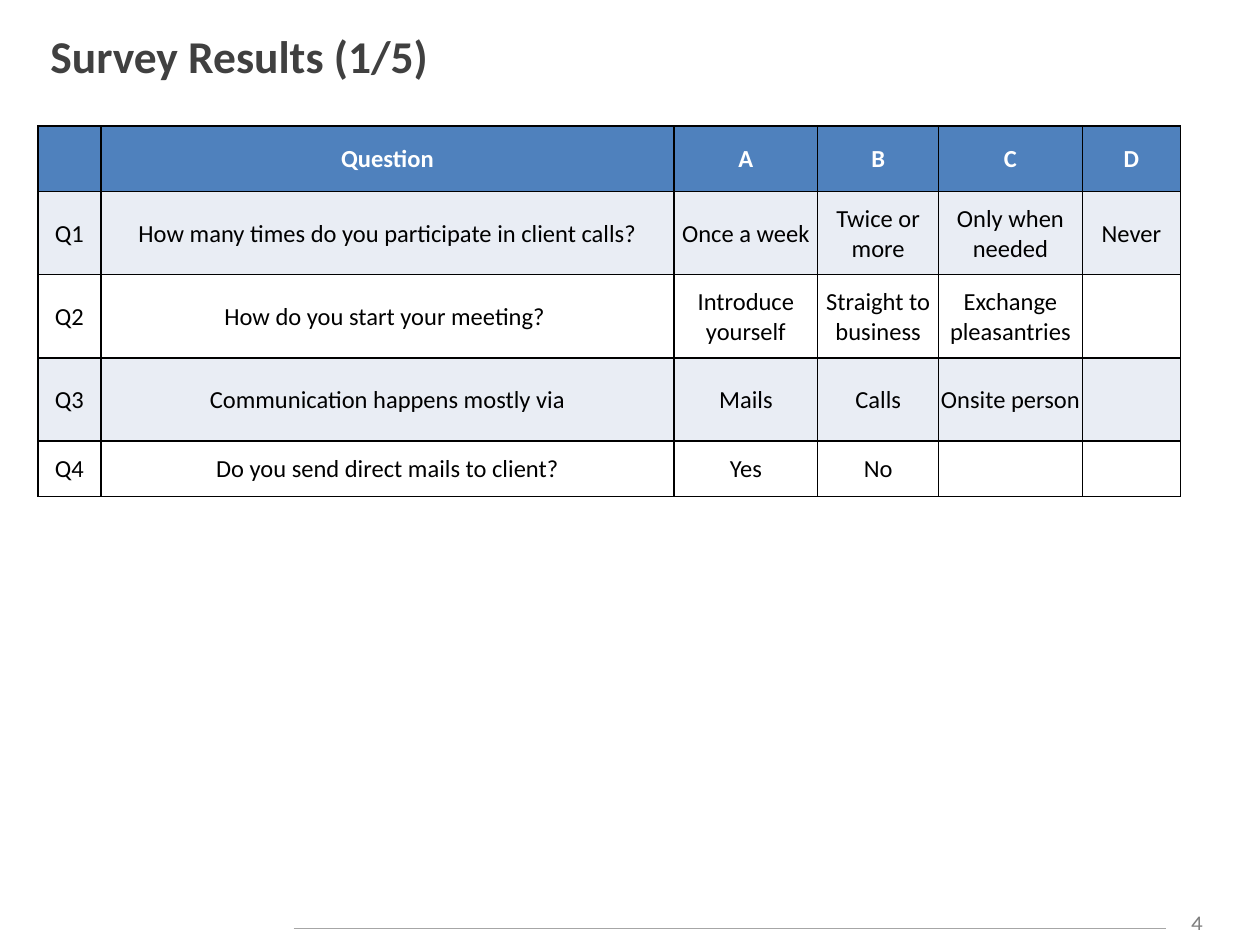
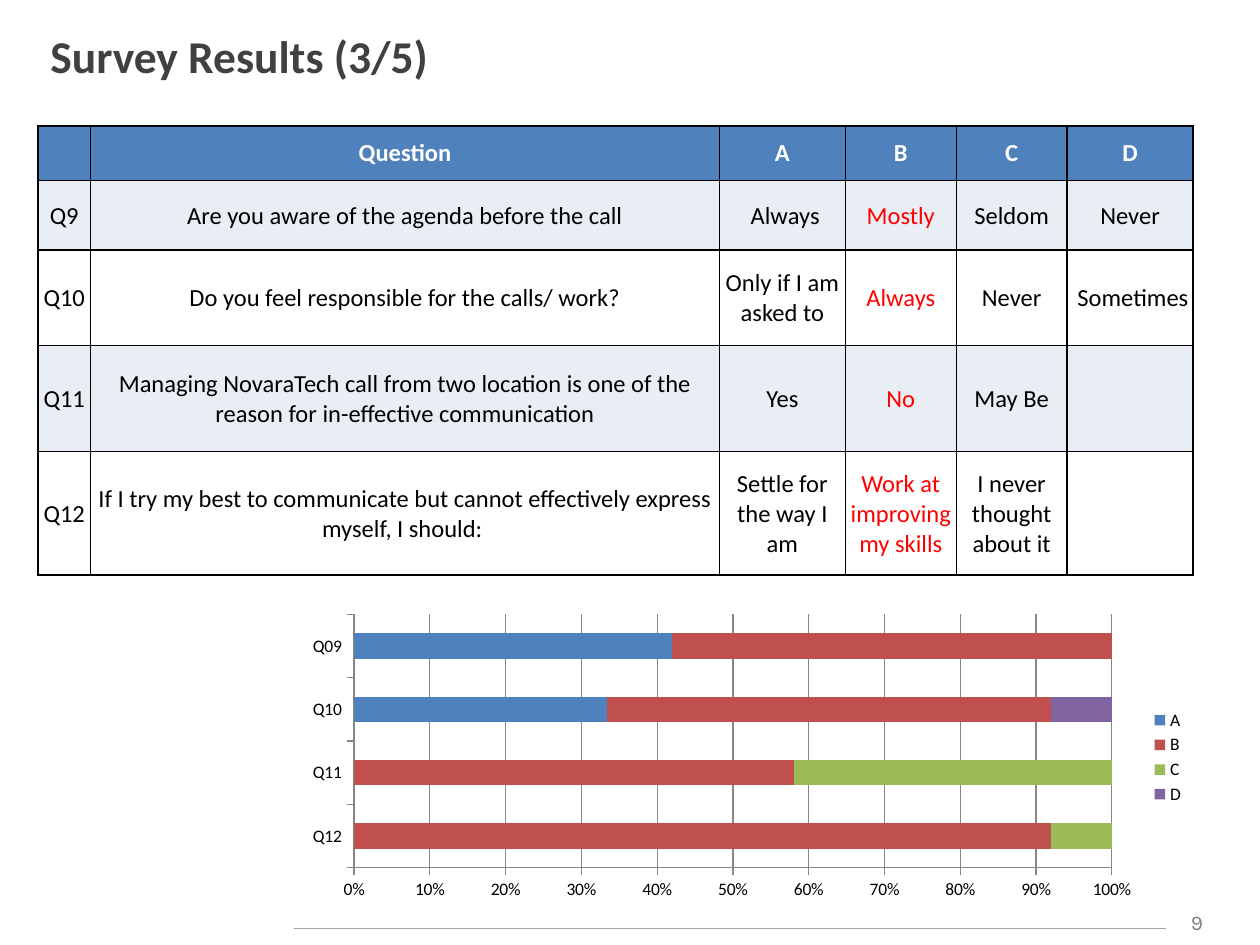
from typing import NamedTuple

from lxml.etree import SubElement as Sub
from pptx import Presentation
from pptx.chart.data import CategoryChartData as ChartData
from pptx.dml.color import RGBColor as Rgb
from pptx.enum.chart import XL_CHART_TYPE as Kind
from pptx.enum.chart import XL_LEGEND_POSITION as Side
from pptx.enum.chart import XL_TICK_MARK as Tick
from pptx.enum.shapes import MSO_CONNECTOR as Link
from pptx.enum.text import MSO_ANCHOR as Anchor
from pptx.enum.text import MSO_AUTO_SIZE as Fit
from pptx.enum.text import PP_ALIGN as Align
from pptx.oxml.ns import qn
from pptx.util import Emu, Pt

SCALE = 9144
FONT = "Calibri"
BLACK, WHITE, RED = "000000", "FFFFFF", "FF0000"
BLUE, PALE, DARK = "4F81BD", "E9EDF4", "404040"
GRAY, RULE, GRID = "808080", "A6A6A6", "878787"
HEAD = ("", "Question", "A", "B", "C", "D")


class Bar(NamedTuple):
    name: str
    color: str
    vals: tuple[int, ...]


class Plot(NamedTuple):
    box: tuple[int, int, int, int]
    cats: tuple[str, ...]
    bars: tuple[Bar, ...]


class Page(NamedTuple):
    title: str
    num: int
    cols: tuple[int, ...]
    tall: tuple[int, ...]
    rows: tuple[tuple[str, ...], ...]
    hot: int | None = None
    plot: Plot | None = None


PAGES = (
    Page(
        "Survey Results (1/5)", 4,
        (50, 455, 114, 96, 114, 78),
        (52, 66, 66, 66, 44),
        (
            ("Q1", "How many times do you participate in client calls?",
             "Once a week", "Twice or more", "Only when needed", "Never"),
            ("Q2", "How do you start your meeting? ", "Introduce yourself",
             "Straight to business", "Exchange pleasantries", ""),
            ("Q3", "Communication happens mostly via",
             "Mails", "Calls", "Onsite person", ""),
            ("Q4", "Do you send direct mails to client?", "Yes", "No", "", ""),
        ),
    ),
    Page(
        "Survey Results (3/5)", 9,
        (42, 499, 100, 88, 88, 100),
        (41, 55, 76, 84, 98),
        (
            ("Q9", "Are you aware of the agenda before the call",
             " Always", "Mostly", "Seldom", "Never"),
            ("Q10", "Do you feel responsible for the calls/ work?",
             "Only if I am asked to", "Always", "Never", " Sometimes"),
            ("Q11", "Managing NovaraTech call from two location is one of the "
             "reason for in-effective communication",
             "Yes", "No", "May Be", ""),
            ("Q12", "If I try my best to communicate but cannot effectively "
             "express myself, I should: ", "Settle for the way I am",
             "Work at improving my skills", "I never thought about it", ""),
        ),
        hot=3,
        plot=Plot(
            (234, 483, 716, 236),
            ("Q12", "Q11", "Q10", "Q09"),
            (
                Bar("A", BLUE, (0, 0, 33, 42)),
                Bar("B", "C0504D", (92, 58, 58, 58)),
                Bar("C", "9BBB59", (8, 42, 0, 0)),
                Bar("D", "8064A2", (0, 0, 8, 0)),
            ),
        ),
    ),
)


def px(num: int) -> Emu:
    return Emu(num * SCALE)


def span(*nums: int) -> list[Emu]:
    return [px(num) for num in nums]


def paint(part, color: str) -> None:
    part.solid()
    part.fore_color.rgb = Rgb.from_string(color)


def write(frame, text: str, *, size: int = 14, color: str = BLACK,
          bold: bool = False, font: str = FONT, align=Align.CENTER) -> None:
    para = frame.paragraphs[0]
    para.alignment = align
    run = para.add_run()
    run.text = text
    run.font.size = Pt(size)
    run.font.name = font
    run.font.bold = bold
    run.font.color.rgb = Rgb.from_string(color)


def add_title(slide, text: str) -> None:
    title = slide.shapes.title
    title.left, title.top, title.width, title.height = span(30, 12, 936, 63)
    frame = title.text_frame
    frame.auto_size = Fit.NONE
    frame.vertical_anchor = Anchor.MIDDLE
    write(frame, text, size=26, color=DARK, bold=True, align=Align.LEFT)


def add_foot(slide, num: int) -> None:
    frame = slide.shapes.add_textbox(*span(925, 717, 50, 30)).text_frame
    frame.word_wrap = True
    frame.auto_size = Fit.SHAPE_TO_FIT_TEXT
    write(frame, str(num), size=12, color=GRAY, font="Karla")
    line = slide.shapes.add_connector(Link.STRAIGHT, *span(233, 737, 925, 737))
    paint(line.line.fill, RULE)
    line.line.width = Pt(0.75)
    Sub(line.element.spPr, qn("a:effectLst"))


def edge(cell) -> None:
    props = cell._tc.get_or_add_tcPr()
    for side in ("lnL", "lnR", "lnT", "lnB"):
        line = Sub(props, qn(f"a:{side}"), w=str(Pt(1)))
        Sub(Sub(line, qn("a:solidFill")), qn("a:srgbClr"), val=BLACK)


def pad(cell, side: int, base: int) -> None:
    cell.margin_left = cell.margin_right = cell.margin_top = px(side)
    cell.margin_bottom = px(base)


def add_grid(slide, page: Page) -> None:
    rows = (HEAD, *page.rows)
    box = span(30, 100, sum(page.cols), sum(page.tall))
    table = slide.shapes.add_table(len(rows), len(HEAD), *box).table
    for col, wide in zip(table.columns, page.cols):
        col.width = px(wide)
    for row, tall in zip(table.rows, page.tall):
        row.height = px(tall)
    for i, row in enumerate(rows):
        head = i == 0
        fill = BLUE if head else PALE if i % 2 else WHITE
        for j, text in enumerate(row):
            cell = table.cell(i, j)
            edge(cell)
            paint(cell.fill, fill)
            if not text:
                continue
            cell.vertical_anchor = Anchor.MIDDLE
            pad(cell, *((10, 10) if head else (1, 0)))
            color = WHITE if head else RED if j == page.hot else BLACK
            write(cell.text_frame, text, color=color, bold=head)


def add_plot(slide, plot: Plot) -> None:
    data = ChartData()
    data.categories = plot.cats
    for bar in plot.bars:
        data.add_series(bar.name, bar.vals)
    kind = Kind.BAR_STACKED_100
    chart = slide.shapes.add_chart(kind, *span(*plot.box), data).chart
    chart.has_title = False
    chart.font.size = Pt(10)
    chart.font.name = FONT
    chart.font.color.rgb = Rgb.from_string(BLACK)
    chart.has_legend = True
    chart.legend.position = Side.RIGHT
    chart.legend.include_in_layout = False
    bars = chart.plots[0]
    bars.gap_width = 150
    bars.overlap = 100
    bars.vary_by_categories = False
    for item, bar in zip(bars.series, plot.bars):
        paint(item.format.fill, bar.color)
    for axis in (chart.category_axis, chart.value_axis):
        axis.major_tick_mark = Tick.OUTSIDE
        axis.minor_tick_mark = Tick.NONE
        paint(axis.format.line.fill, GRID)
    axis = chart.value_axis
    axis.has_major_gridlines = True
    paint(axis.major_gridlines.format.line.fill, GRID)
    axis.tick_labels.number_format = "0%"
    axis.tick_labels.number_format_is_linked = False


def main() -> None:
    deck = Presentation()
    deck.slide_width, deck.slide_height = span(1000, 750)
    for page in PAGES:
        slide = deck.slides.add_slide(deck.slide_layouts[5])
        add_foot(slide, page.num)
        add_title(slide, page.title)
        add_grid(slide, page)
        if page.plot:
            add_plot(slide, page.plot)
    deck.save("out.pptx")


if __name__ == "__main__":
    main()
